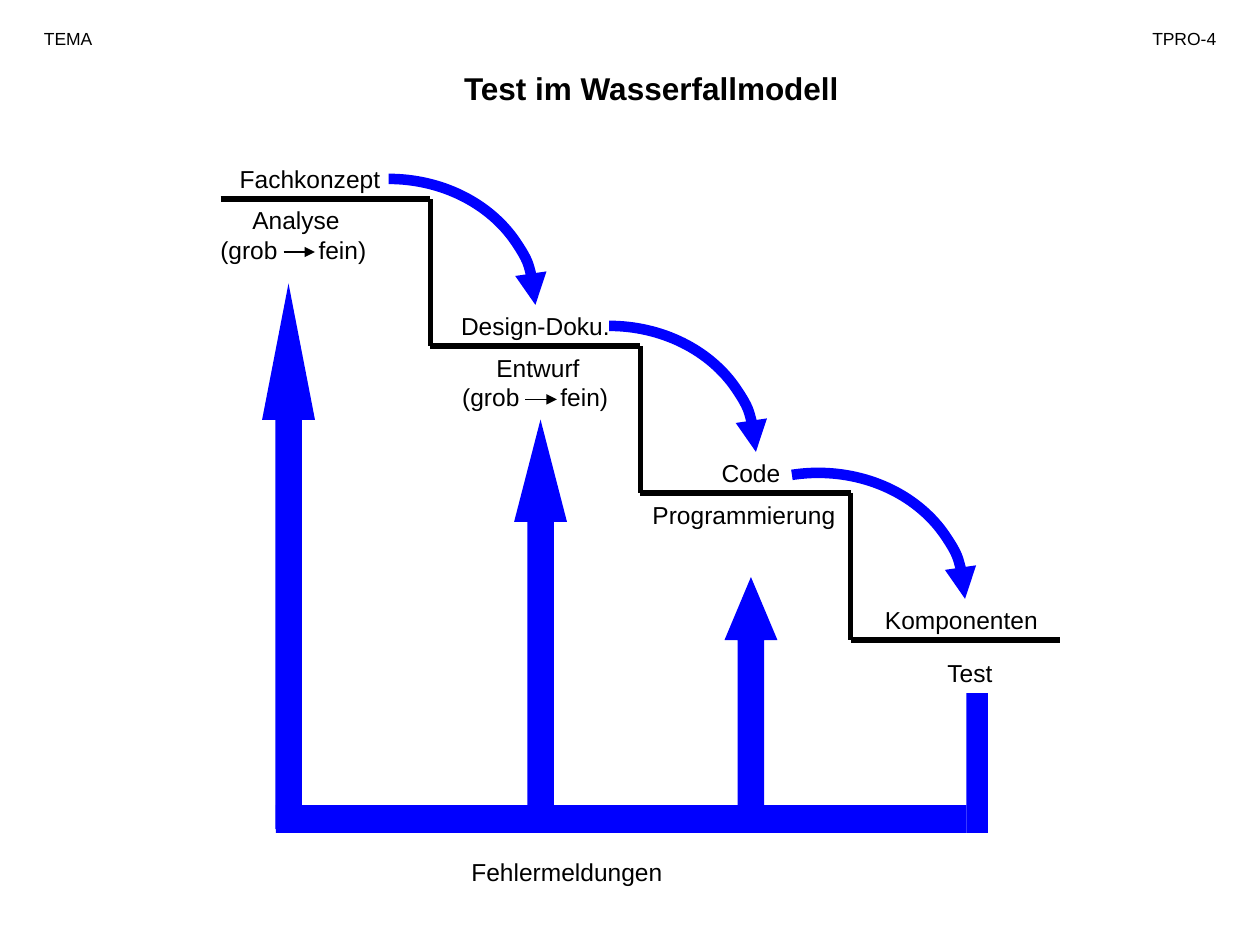
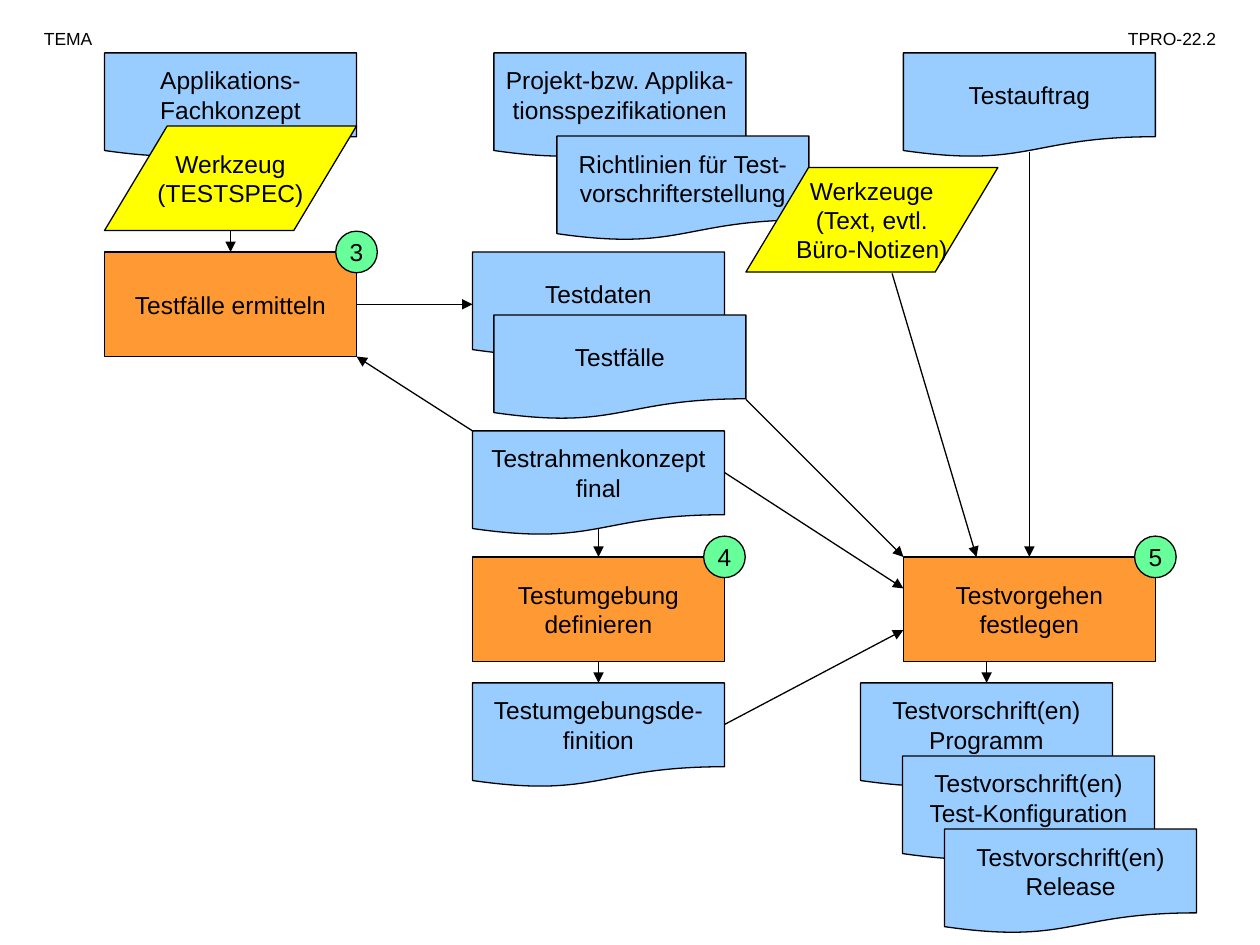
"""Build two slides on testing in the waterfall model and test preparation."""
from lxml import etree
from pptx import Presentation
from pptx.dml.color import RGBColor
from pptx.enum.shapes import MSO_CONNECTOR, MSO_SHAPE as SHAPE
from pptx.enum.text import MSO_ANCHOR as ANCHOR, PP_ALIGN as ALIGN
from pptx.oxml.ns import qn
from pptx.util import Inches, Pt

BLACK, BLUE = "000000", "0000FF"
DOCUMENT_FILL, TASK_FILL = "99CCFF", "FF9933"
TOOL_FILL, NUMBER_FILL = "FFFF00", "66FF99"
TITLE_ONLY, BLANK = 5, 6
TOP, LEFT, BOTTOM, RIGHT = range(4)


def color(value):
    return RGBColor.from_string(value)


def inches(*lengths):
    return [Inches(length) for length in lengths]


class Deck:
    font = "Arial"
    text_size, header_size, title_size = 14, 10, 18
    box_width, box_height, number_size = 2, 0.83, 0.33

    def __init__(self):
        self.presentation = Presentation()
        self.presentation.slide_width, self.presentation.slide_height = inches(10, 7.5)
        self.slide = None

    def new_slide(self, code, layout):
        self.slide = self.presentation.slides.add_slide(self.presentation.slide_layouts[layout])
        self.text("TEMA", 0.25, 0.17, 0.92, ALIGN.LEFT, self.header_size)
        self.text(code, 8.67, 0.17, 1.08, ALIGN.RIGHT, self.header_size)

    def fill_text(self, frame, content, align=ALIGN.CENTER, size=text_size, bold=False):
        frame.text = content
        for paragraph in frame.paragraphs:
            paragraph.alignment = align
            paragraph.font.name = self.font
            paragraph.font.size = Pt(size)
            paragraph.font.bold = bold
            paragraph.font.color.rgb = color(BLACK)

    def title(self, content, left, top, width, height):
        title = self.slide.shapes.title
        title.left, title.top, title.width, title.height = inches(left, top, width, height)
        title.text_frame.vertical_anchor = ANCHOR.TOP
        self.fill_text(title.text_frame, content, size=self.title_size, bold=True)

    def text(self, content, left, top, width, align=ALIGN.CENTER, size=text_size):
        box = self.slide.shapes.add_textbox(*inches(left, top, width, 0.1 + size * 0.017))
        box.text_frame.word_wrap = True
        self.fill_text(box.text_frame, content, align, size)
        return box

    def shape(self, kind, left, top, width, height, fill, adjustments=()):
        shape = self.slide.shapes.add_shape(kind, *inches(left, top, width, height))
        shape.shadow.inherit = False
        shape.fill.solid()
        shape.fill.fore_color.rgb = color(fill)
        shape.line.fill.background()
        for index, value in enumerate(adjustments):
            shape.adjustments[index] = value
        return shape

    def box(self, kind, content, left, top, fill, width=box_width, height=box_height, adjustments=()):
        shape = self.shape(kind, left, top, width, height, fill, adjustments)
        self.stroke(shape, BLACK, 0.75)
        shape.text_frame.word_wrap = False
        shape.text_frame.vertical_anchor = ANCHOR.MIDDLE
        self.fill_text(shape.text_frame, content)
        return shape

    def document(self, content, left, top):
        return self.box(SHAPE.FLOWCHART_DOCUMENT, content, left, top, DOCUMENT_FILL)

    def tool(self, content, left, top):
        return self.box(SHAPE.PARALLELOGRAM, content, left, top, TOOL_FILL, adjustments=[0.6])

    def task(self, number, content, left, top):
        task = self.box(SHAPE.RECTANGLE, content, left, top, TASK_FILL)
        half = self.number_size / 2
        self.box(SHAPE.OVAL, number, left + self.box_width - half, top - half, NUMBER_FILL,
                 self.number_size, self.number_size)
        return task

    def stroke(self, shape, stroke_color, width, head=False):
        shape.line.color.rgb = color(stroke_color)
        shape.line.width = Pt(width)
        if head:
            outline = shape._element.spPr.find(qn("a:ln"))
            etree.SubElement(outline, qn("a:tailEnd"), type="triangle")

    def line(self, start, end, width=0.75, head=True, begin_at=None, end_at=None):
        line = self.slide.shapes.add_connector(MSO_CONNECTOR.STRAIGHT, *inches(*start, *end))
        if begin_at:
            line.begin_connect(*begin_at)
        if end_at:
            line.end_connect(*end_at)
        self.stroke(line, BLACK, width, head)
        etree.SubElement(line._element.spPr, qn("a:effectLst"))

    def curved_arrow(self, left, top, start_angle):
        arc = self.shape(SHAPE.ARC, left, top, 2.33, 2, BLUE, [start_angle * 0.6, 0])
        arc.fill.background()
        self.stroke(arc, BLUE, 6, head=True)

    def refinement(self, phase, left, top):
        box = self.text(f"{phase}\n(grob\tfein)", left, top, 1.4)
        paragraph = box.text_frame.paragraphs[1]
        paragraph.alignment = ALIGN.LEFT
        properties = paragraph._p.get_or_add_pPr()
        tabs = etree.Element(qn("a:tabLst"))
        etree.SubElement(tabs, qn("a:tab"), pos=str(Inches(0.78)), algn="l")
        properties.insert(0, tabs)
        self.line((left + 0.6, top + 0.42), (left + 0.85, top + 0.42))


def waterfall(deck):
    deck.new_slide("TPRO-4", TITLE_ONLY)
    deck.title("Test im Wasserfallmodell", 2.17, 0.5, 6, 0.4)

    tread, riser, steps = 5 / 3, 7 / 6, 4
    for step in range(steps):
        left, top = 1.75 + step * tread, 1.58 + step * riser
        right = left + tread
        deck.line((left, top), (right, top), 3, head=False)
        if step < steps - 1:
            deck.line((right, top), (right, top + riser), 3, head=False)

    arrow_width, arrow_bottom = 0.42, 6.58
    for left, top in [(2.08, 2.25), (4.08, 3.33), (5.75, 4.58)]:
        height = arrow_bottom - top
        deck.shape(SHAPE.UP_ARROW, left, top, arrow_width, height, BLUE,
                   [0.5, height / 4 / arrow_width])
    deck.shape(SHAPE.RECTANGLE, 2.19, 6.39, 5.48, 0.22, BLUE)
    deck.shape(SHAPE.RECTANGLE, 7.67, 5.5, 0.17, 1.11, BLUE)

    results = [("Fachkonzept", 1.67, 1.58), ("Design-Doku.", 3.5, 1.5),
               ("Code", 5.42, 1.08), ("Komponenten", 6.92, 1.42)]
    for step, (result, left, width) in enumerate(results):
        deck.text(result, left, 1.25 + step * riser, width)
    deck.refinement("Analyse", 1.65, 1.58)
    deck.refinement("Entwurf", 3.57, 2.75)
    deck.text("Programmierung", 5.08, 3.92, 1.75, ALIGN.LEFT)
    deck.text("Test", 7.42, 5.17, 0.75, ALIGN.LEFT)
    deck.text("Fehlermeldungen", 3.5, 6.75, 2)

    for step, (left, start_angle) in enumerate([(1.92, 270), (3.67, 270), (5.33, 258)]):
        deck.curved_arrow(left, 1.42 + step * riser, start_angle)


def test_preparation(deck):
    deck.new_slide("TPRO-22.2", BLANK)
    deck.document("Applikations-\nFachkonzept", 0.83, 0.42)
    plan = deck.task("5", "Testvorgehen\nfestlegen", 7.17, 4.42)
    environment = deck.task("4", "Testumgebung\ndefinieren", 3.75, 4.42)
    definition = deck.document("Testumgebungsde-\nfinition", 3.75, 5.42)
    for index, subject in enumerate(["Programm", "Test-Konfiguration", "Release"]):
        deck.document(f"Testvorschrift(en)\n{subject}", 6.83 + index / 3, 5.42 + index * 0.58)
    deck.document("Testrahmenkonzept\nfinal", 3.75, 3.42)
    data = deck.document("Testdaten", 3.75, 2)
    deck.document("Testfälle", 3.92, 2.5)
    cases = deck.task("3", "Testfälle ermitteln", 0.83, 2)
    deck.tool("Werkzeug\n(TESTSPEC)", 0.83, 1)
    deck.document("Testauftrag", 7.17, 0.42)
    deck.document("Projekt-bzw. Applika-\ntionsspezifikationen", 3.92, 0.42)
    deck.document("Richtlinien für Test-\nvorschrifterstellung", 4.42, 1.08)
    deck.tool("Werkzeuge\n(Text, evtl.\nBüro-Notizen)", 5.92, 1.33)

    deck.line((1.83, 1.83), (1.83, 2), end_at=(cases, TOP))
    deck.line((8.17, 1.21), (8.17, 4.42), end_at=(plan, TOP))
    deck.line((2.83, 2.42), (3.75, 2.42), begin_at=(cases, RIGHT), end_at=(data, LEFT))
    deck.line((4.75, 5.25), (4.75, 5.42), begin_at=(environment, BOTTOM), end_at=(definition, TOP))
    deck.line((4.75, 4.2), (4.75, 4.42), end_at=(environment, TOP))
    for start, end in [((7.83, 5.25), (7.83, 5.42)), ((3.75, 3.42), (2.83, 2.83)),
                       ((5.75, 3.75), (7.17, 4.67)), ((5.75, 5.75), (7.17, 5)),
                       ((5.92, 3.17), (7.17, 4.42)), ((7.08, 2.17), (7.75, 4.42))]:
        deck.line(start, end)


def main():
    deck = Deck()
    waterfall(deck)
    test_preparation(deck)
    deck.presentation.save("out.pptx")


if __name__ == "__main__":
    main()
